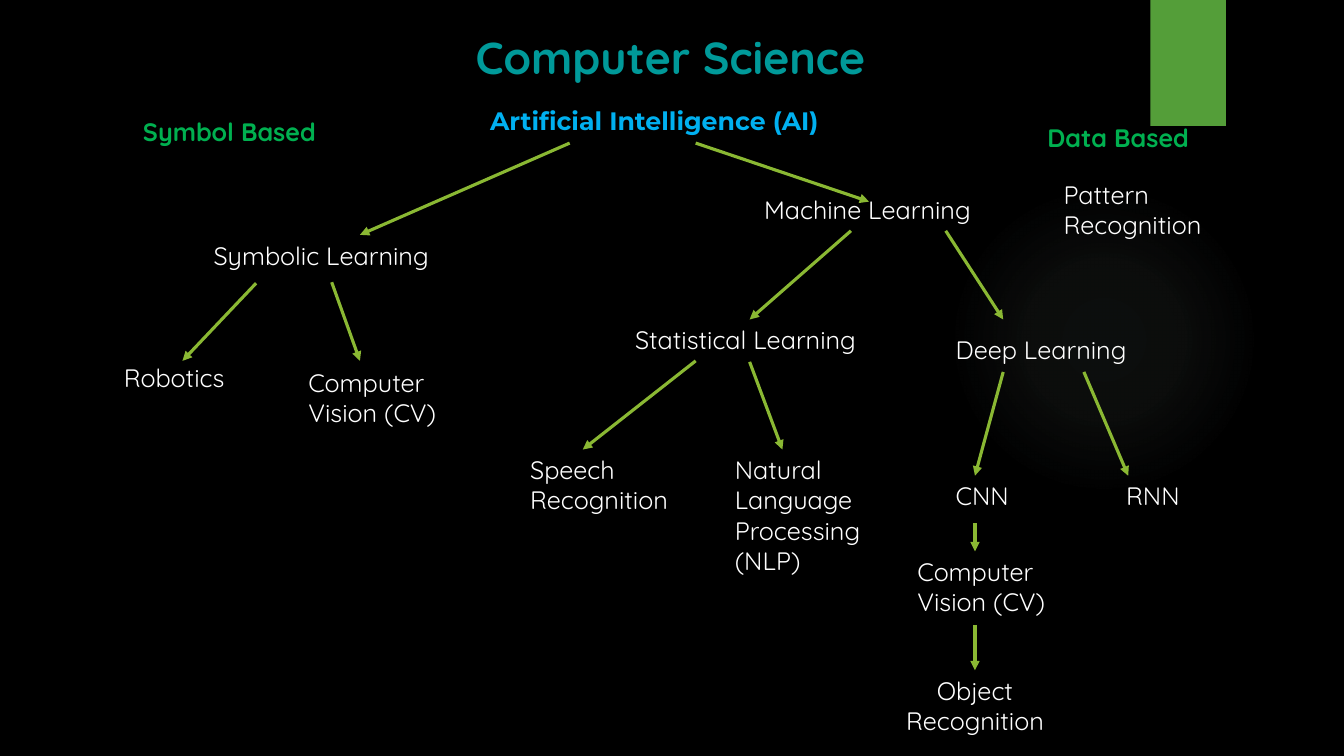
"""Build a slide that charts the branches of computer science as a tree."""
from dataclasses import dataclass
from typing import Optional

from lxml import etree
from pptx import Presentation
from pptx.dml.color import RGBColor
from pptx.enum.shapes import MSO_CONNECTOR as Connector, MSO_SHAPE as Preset
from pptx.enum.text import MSO_AUTO_SIZE as AutoSize, PP_ALIGN as Align
from pptx.oxml import parse_xml
from pptx.oxml.ns import nsdecls, qn
from pptx.util import Emu, Pt

EMU_PER_PX = 9144
TOP, BOTTOM = 0, 2
COLORS = {
    "background": "000000",
    "glow": "AFC5B9",
    "tab": "549E39",
    "title": "009999",
    "field": "00B0F0",
    "basis": "00B050",
    "topic": "FFFFFF",
    "arrow": "8AB833",
}
GLOW_STOPS = ((0, 7), (36, 6), (69, 0))


@dataclass(frozen=True)
class Label:
    text: str
    left: int
    top: int
    width: int
    height: int
    color: str = "topic"
    size: int = 18
    font: str = "Quicksand"
    bold: bool = False
    align: Align = Align.LEFT


@dataclass(frozen=True)
class Arrow:
    start: tuple[int, int]
    end: tuple[int, int]
    source: Optional[str] = None
    target: Optional[str] = None


LABELS = {
    "title": Label("Computer Science", 438, 25, 454, 66, "title", 32, bold=True, align=Align.CENTER),
    "symbolic": Label("Symbolic Learning", 202, 233, 310, 42),
    "robotics": Label("Robotics", 113, 354, 166, 42),
    "symbolic vision": Label("Computer Vision (CV)", 296, 359, 166, 73),
    "machine": Label("Machine Learning", 748, 188, 247, 42),
    "statistical": Label("Statistical Learning", 620, 317, 247, 42),
    "deep": Label("Deep Learning", 938, 327, 207, 42),
    "speech": Label("Speech Recognition", 516, 446, 173, 73),
    "language": Label("Natural Language Processing (NLP)", 719, 446, 190, 136),
    "cnn": Label("CNN", 938, 472, 85, 42),
    "rnn": Label("RNN", 1107, 472, 119, 42),
    "deep vision": Label("Computer Vision (CV)", 900, 547, 166, 73),
    "object": Label("Object Recognition", 861, 665, 212, 73, align=Align.CENTER),
    "field": Label("Artificial Intelligence (AI)", 468, 100, 362, 42, "field",
                   font="Montserrat", bold=True, align=Align.CENTER),
    "symbol based": Label("Symbol Based", 132, 110, 196, 40, "basis", bold=True),
    "data based": Label("Data Based", 1029, 116, 258, 40, "basis", bold=True),
    "pattern": Label("Pattern Recognition", 1045, 173, 182, 71),
}

ARROWS = (
    Arrow((565, 142), (357, 233), target="symbolic"),
    Arrow((690, 142), (862, 200)),
    Arrow((254, 281), (181, 358)),
    Arrow((329, 280), (357, 358)),
    Arrow((844, 229), (744, 317), target="statistical"),
    Arrow((938, 229), (995, 317)),
    Arrow((690, 358), (578, 446)),
    Arrow((744, 358), (776, 446), source="statistical"),
    Arrow((995, 369), (967, 472)),
    Arrow((1075, 369), (1119, 472)),
    Arrow((967, 519), (967, 547)),
    Arrow((967, 620), (967, 665), target="object"),
)


def px(*lengths: int) -> list[Emu]:
    return [Emu(length * EMU_PER_PX) for length in lengths]


def rgb(name: str) -> RGBColor:
    return RGBColor.from_string(COLORS[name])


def add_glow(slide) -> None:
    shape = slide.shapes.add_shape(Preset.OVAL, *px(941, 183, 308, 308))
    shape.shadow.inherit = False
    shape.line.fill.background()
    shape.fill.background()
    stops = "".join(
        f'<a:gs pos="{position * 1000}"><a:srgbClr val="{COLORS["glow"]}">'
        f'<a:alpha val="{alpha * 1000}"/></a:srgbClr></a:gs>'
        for position, alpha in GLOW_STOPS
    )
    gradient = parse_xml(
        f'<a:gradFill {nsdecls("a")}><a:gsLst>{stops}</a:gsLst><a:path path="circle">'
        '<a:fillToRect l="50000" t="50000" r="50000" b="50000"/></a:path></a:gradFill>'
    )
    properties = shape.element.spPr
    properties.replace(properties.find(qn("a:noFill")), gradient)


def add_tab(slide) -> None:
    shape = slide.shapes.add_shape(Preset.RECTANGLE, *px(1141, 0, 75, 125))
    shape.shadow.inherit = False
    shape.fill.solid()
    shape.fill.fore_color.rgb = rgb("tab")
    shape.line.fill.background()


def add_label(slide, label: Label):
    box = slide.shapes.add_textbox(*px(label.left, label.top, label.width, label.height))
    frame = box.text_frame
    frame.word_wrap = True
    frame.auto_size = AutoSize.SHAPE_TO_FIT_TEXT
    paragraph = frame.paragraphs[0]
    paragraph.alignment = label.align
    run = paragraph.add_run()
    run.text = label.text
    run.font.name = label.font
    run.font.size = Pt(label.size)
    run.font.bold = label.bold
    run.font.color.rgb = rgb(label.color)
    return box


def add_arrow(slide, arrow: Arrow, boxes: dict) -> None:
    connector = slide.shapes.add_connector(Connector.STRAIGHT, *px(*arrow.start, *arrow.end))
    if arrow.source:
        connector.begin_connect(boxes[arrow.source], BOTTOM)
    if arrow.target:
        connector.end_connect(boxes[arrow.target], TOP)
    connector.line.width = Pt(2.25)
    connector.line.color.rgb = rgb("arrow")
    properties = connector.element.spPr
    etree.SubElement(properties.find(qn("a:ln")), qn("a:tailEnd"), type="triangle")
    etree.SubElement(properties, qn("a:effectLst"))


def main() -> None:
    presentation = Presentation()
    presentation.slide_width, presentation.slide_height = px(1333, 750)
    slide = presentation.slides.add_slide(presentation.slide_layouts[6])
    slide.background.fill.solid()
    slide.background.fill.fore_color.rgb = rgb("background")
    add_glow(slide)
    add_tab(slide)
    boxes = {name: add_label(slide, label) for name, label in LABELS.items()}
    for arrow in ARROWS:
        add_arrow(slide, arrow, boxes)
    presentation.save("out.pptx")


if __name__ == "__main__":
    main()
